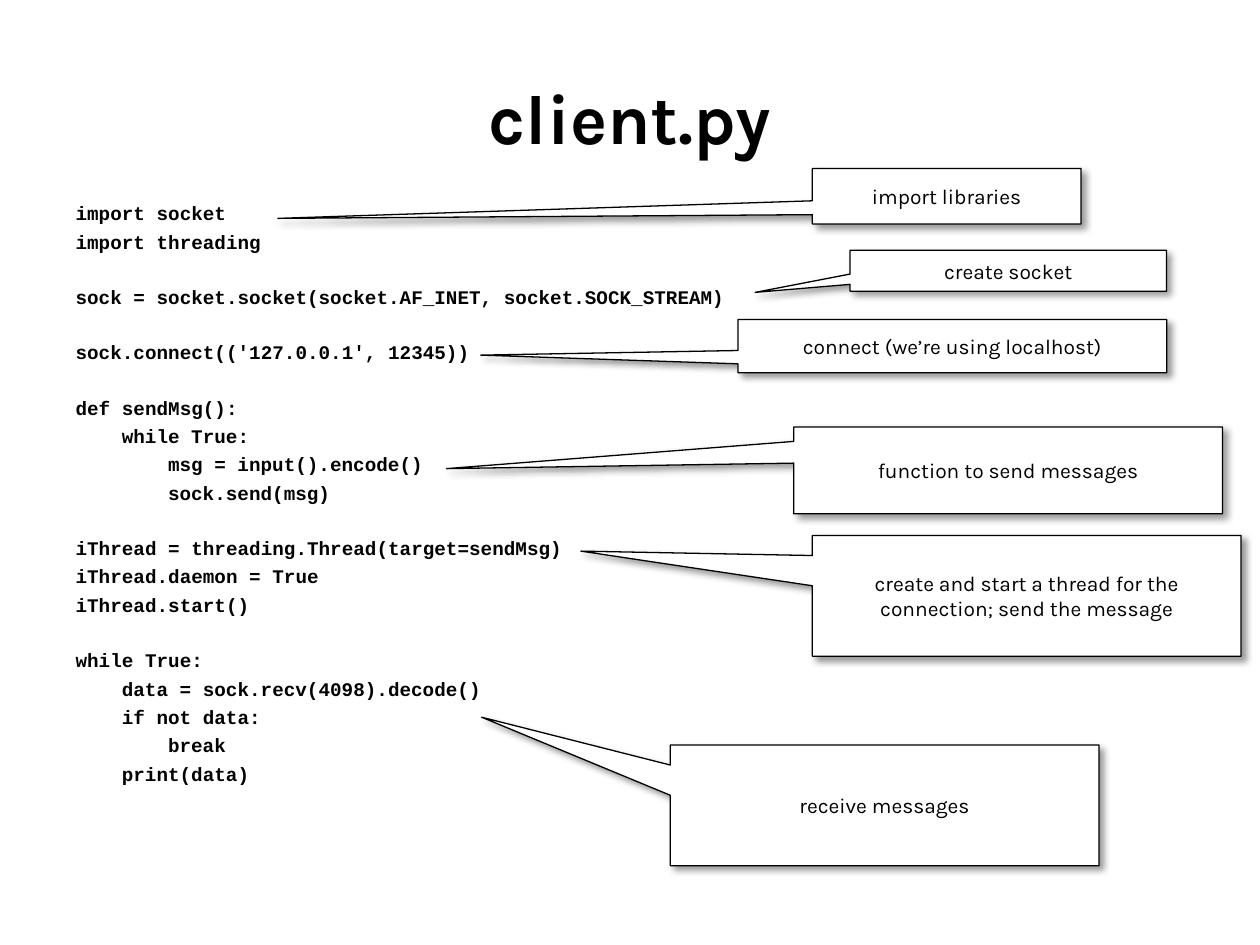
from pptx import Presentation
from pptx.dml.color import RGBColor
from pptx.enum.shapes import MSO_SHAPE
from pptx.enum.text import MSO_ANCHOR, MSO_AUTO_SIZE, PP_ALIGN
from pptx.oxml import parse_xml
from pptx.oxml.ns import nsdecls
from pptx.util import Pt

CALLOUT = MSO_SHAPE.RECTANGULAR_CALLOUT
MIDDLE, TOP = MSO_ANCHOR.MIDDLE, MSO_ANCHOR.TOP
CENTER, LEFT = PP_ALIGN.CENTER, PP_ALIGN.LEFT
FIXED = MSO_AUTO_SIZE.NONE

THEME = {
    "ink": RGBColor(0, 0, 0), "paper": RGBColor(255, 255, 255),
    "sans": "Karla", "mono": "Courier New",
    "title": 40, "code": 11, "note": 12,
}
STEP = 26.4  # indent of one code level
LEAD = 3     # space above a code line
GAP = 18.4   # space above a code block


def write(para, text, font="sans", size="note", bold=False, align=CENTER,
          before=0, indent=0):
    para.alignment = align
    para.space_before = Pt(before)
    props = para._p.get_or_add_pPr()
    props.set("marL", str(Pt(indent)))
    props.set("indent", "0")
    props.append(parse_xml(f"<a:buNone {nsdecls('a')}/>"))
    run = para.add_run()
    run.text = text
    run.font.name = THEME[font]
    run.font.size = Pt(THEME[size])
    run.font.bold = bold
    run.font.color.rgb = THEME["ink"]


def place(shape, box, anchor):
    shape.left, shape.top, shape.width, shape.height = map(Pt, box)
    frame = shape.text_frame
    frame.word_wrap = True
    frame.auto_size = FIXED
    frame.vertical_anchor = anchor
    return frame


deck = Presentation()
deck.slide_width, deck.slide_height = Pt(720), Pt(540)
slide = deck.slides.add_slide(deck.slide_layouts[1])

# Title
frame = place(slide.shapes.title, (0, 21.6, 720, 90), MIDDLE)
write(frame.paragraphs[0], "client.py", size="title", bold=True)

# Code: blocks of (level, line)
blocks = [
    [(0, "import socket"), (0, "import threading")],
    [(0, "sock = socket.socket(socket.AF_INET, socket.SOCK_STREAM)")],
    [(0, "sock.connect(('127.0.0.1', 12345))")],
    [(0, "def sendMsg():"), (1, "while True:"),
     (2, "msg = input().encode()"), (2, "sock.send(msg)")],
    [(0, "iThread = threading.Thread(target=sendMsg)"),
     (0, "iThread.daemon = True"), (0, "iThread.start()")],
    [(0, "while True:"), (1, "data = sock.recv(4098).decode()"),
     (1, "if not data:"), (2, "break"), (1, "print(data)")],
]
frame = place(slide.placeholders[1], (36, 111.6, 648, 393), TOP)
para = frame.paragraphs[0]
for b, block in enumerate(blocks):
    for n, (level, line) in enumerate(block):
        if b or n:
            para = frame.add_paragraph()
        write(para, line, font="mono", size="code", bold=True, align=LEFT,
              before=GAP if b and not n else LEAD, indent=level * STEP)

# Callouts: text, box, pointer tip relative to the box centre
notes = [
    ("import libraries", (464.2, 96.3, 153.5, 31.7), (-2.49, 0.4)),
    ("create socket", (485.8, 143, 180.8, 23.4), (-0.8, 0.53)),
    ("connect (we’re using localhost)", (421.7, 182.6, 245, 30.4),
     (-1.1, 0.17)),
    ("function to send messages", (453.6, 244, 245, 49.6), (-1.31, -0.02)),
    ("receive messages", (383, 425.7, 245, 69), (-0.94, -0.73)),
    ("create and start a thread for the connection; send the message",
     (464.2, 306, 245, 69), (-1.04, -0.37)),
]
for text, box, tip in notes:
    note = slide.shapes.add_shape(CALLOUT, *map(Pt, box))
    note.adjustments[0], note.adjustments[1] = tip
    note.fill.solid()
    note.fill.fore_color.rgb = THEME["paper"]
    note.line.color.rgb = THEME["ink"]
    note.line.width = Pt(0.75)
    # Soft shadow, down and to the right
    note._element.spPr.append(parse_xml(
        f"<a:effectLst {nsdecls('a')}>"
        f'<a:outerShdw blurRad="{Pt(4)}" dist="{Pt(3)}" dir="2700000">'
        f'<a:srgbClr val="{THEME["ink"]}"><a:alpha val="40000"/></a:srgbClr>'
        "</a:outerShdw></a:effectLst>"))
    write(place(note, box, MIDDLE).paragraphs[0], text)

deck.save("out.pptx")
